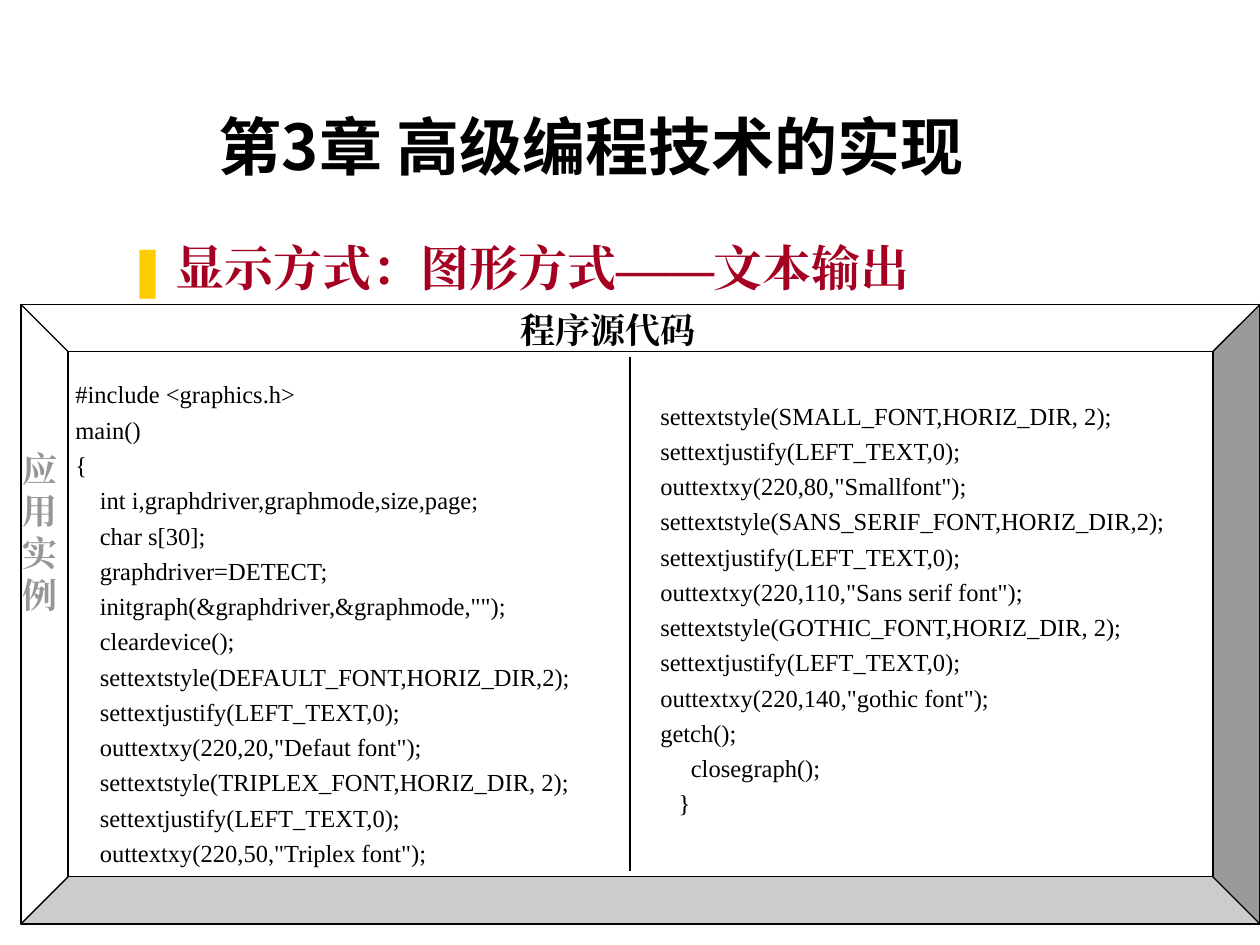
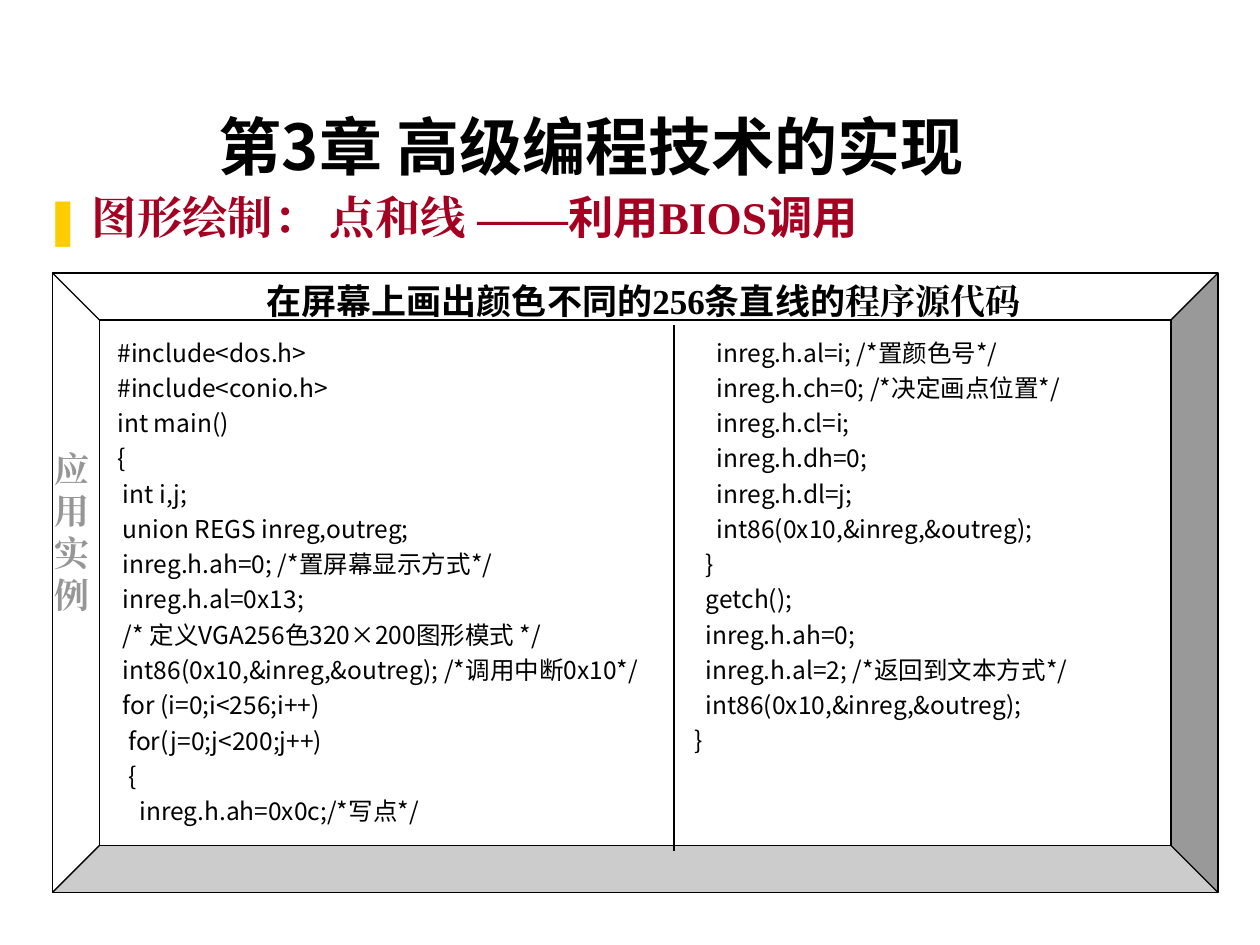
from dataclasses import dataclass
from lxml.etree import SubElement
from pptx import Presentation
from pptx.dml.color import RGBColor
from pptx.enum.lang import MSO_LANGUAGE_ID
from pptx.enum.shapes import MSO_CONNECTOR, MSO_SHAPE
from pptx.enum.text import MSO_ANCHOR, PP_ALIGN
from pptx.oxml.ns import qn
from pptx.util import Inches, Pt


@dataclass(frozen=True)
class Theme:
    sans: str = "Noto Sans CJK SC"
    serif: str = "Times New Roman"
    black: str = "000000"
    white: str = "FFFFFF"
    topic: str = "A50021"
    bullet: str = "FFCC00"
    label: str = "969696"
    title_size: float = 36
    heading_size: float = 20
    code_size: float = 14
    code_spacing: float = 1.2
    line_width: float = 0.75
    bevel: float = 0.076


THEME = Theme()
COLUMNS, ROWS = 120, 90
WIDTH, HEIGHT = Inches(10), Inches(7.5)
TITLE = "第3章 高级编程技术的实现"
TITLE_BOX = (5.3, 3, 102, 15)
LABEL = "应用实例"
LABEL_TOP, LABEL_WIDTH, LABEL_HEIGHT = 42, 5, 17.3

SLIDES = [
    {
        "topic": [("显示方式：图形方式——文本输出", THEME.serif)],
        "topic_box": (11, 22, 81, 8.3),
        "topic_size": 28,
        "topic_spacing": 1.0,
        "frame": (2, 29, 118, 59),
        "heading": [("程序源代码", THEME.serif)],
        "heading_box": (46.4, 28.8, 23, 5.3),
        "divider": (60, 34, 83),
        "code_font": THEME.serif,
        "code": [
            ((6, 35, 54, 48), """\
#include <graphics.h>
main()
{
    int i,graphdriver,graphmode,size,page;
    char s[30];
    graphdriver=DETECT;
    initgraph(&graphdriver,&graphmode,"");
    cleardevice();
    settextstyle(DEFAULT_FONT,HORIZ_DIR,2);
    settextjustify(LEFT_TEXT,0);
    outtextxy(220,20,"Defaut font");
    settextstyle(TRIPLEX_FONT,HORIZ_DIR, 2);
    settextjustify(LEFT_TEXT,0);
    outtextxy(220,50,"Triplex font");"""),
            ((61.7, 37, 58, 41.5), """\
settextstyle(SMALL_FONT,HORIZ_DIR, 2);
settextjustify(LEFT_TEXT,0);
outtextxy(220,80,"Smallfont");
settextstyle(SANS_SERIF_FONT,HORIZ_DIR,2);
settextjustify(LEFT_TEXT,0);
outtextxy(220,110,"Sans serif font");
settextstyle(GOTHIC_FONT,HORIZ_DIR, 2);
settextjustify(LEFT_TEXT,0);
outtextxy(220,140,"gothic font");
getch();
     closegraph();
   }"""),
        ],
    },
    {
        "topic": [("图形绘制： 点和线 ——", THEME.serif), ("利用", THEME.sans),
                  ("BIOS", THEME.serif), ("调用", THEME.sans)],
        "topic_box": (3, 18, 86, 8.3),
        "topic_size": 25.9,
        "topic_spacing": 0.9,
        "frame": (5, 26, 111, 59),
        "heading": [("在屏幕上画出颜色不同的", THEME.sans), ("256", THEME.serif),
                    ("条直线的", THEME.sans), ("程序源代码", THEME.serif)],
        "heading_box": (22.8, 26, 77, 5.3),
        "divider": (64.2, 31, 81),
        "code_font": THEME.sans,
        "code": [
            ((10, 31, 56, 50), """\
#include<dos.h>
#include<conio.h>
int main()
{
 int i,j;
 union REGS inreg,outreg;
 inreg.h.ah=0; /*置屏幕显示方式*/
 inreg.h.al=0x13;
 /* 定义VGA256色320×200图形模式 */
 int86(0x10,&inreg,&outreg); /*调用中断0x10*/
 for (i=0;i<256;i++)
  for(j=0;j<200;j++)
  {
    inreg.h.ah=0x0c;/*写点*/"""),
            ((65, 31, 49, 41.5), """\
    inreg.h.al=i; /*置颜色号*/
    inreg.h.ch=0; /*决定画点位置*/
    inreg.h.cl=i;
    inreg.h.dh=0;
    inreg.h.dl=j;
    int86(0x10,&inreg,&outreg);
  }
  getch();
  inreg.h.ah=0;
  inreg.h.al=2; /*返回到文本方式*/
  int86(0x10,&inreg,&outreg);
}"""),
        ],
    },
]


def across(columns):
    return round(WIDTH * columns / COLUMNS)


def down(rows):
    return round(HEIGHT * rows / ROWS)


def place(box):
    left, top, width, height = box
    return across(left), down(top), across(width), down(height)


def add_text(slide, box, paragraphs, size, color=THEME.black, bold=True,
             align=PP_ALIGN.LEFT, anchor=MSO_ANCHOR.TOP, spacing=1.0):
    frame = slide.shapes.add_textbox(*place(box)).text_frame
    frame.word_wrap = True
    frame.vertical_anchor = anchor
    for index, runs in enumerate(paragraphs):
        paragraph = frame.add_paragraph() if index else frame.paragraphs[0]
        paragraph.alignment = align
        paragraph.line_spacing = spacing
        for text, typeface in runs:
            run = paragraph.add_run()
            run.text = text
            font = run.font
            font.size, font.bold, font.name = Pt(size), bold, typeface
            font.color.rgb = RGBColor.from_string(color)
            font.language_id = MSO_LANGUAGE_ID.SIMPLIFIED_CHINESE
            SubElement(font._element, qn("a:ea"), typeface=typeface)
    return frame


def add_bullet(paragraph):
    properties = paragraph._p.get_or_add_pPr()
    properties.set("marL", str(Inches(0.38)))
    properties.set("indent", str(-Inches(0.38)))
    color = SubElement(properties, qn("a:buClr"))
    SubElement(color, qn("a:srgbClr"), val=THEME.bullet)
    SubElement(properties, qn("a:buFont"), typeface=THEME.sans)
    SubElement(properties, qn("a:buChar"), char="❚")


def outline(shape):
    shape.line.color.rgb = RGBColor.from_string(THEME.black)
    shape.line.width = Pt(THEME.line_width)


def add_frame(slide, box):
    frame = slide.shapes.add_shape(MSO_SHAPE.BEVEL, *place(box))
    frame.adjustments[0] = THEME.bevel
    frame.shadow.inherit = False
    frame.fill.solid()
    frame.fill.fore_color.rgb = RGBColor.from_string(THEME.white)
    outline(frame)


def add_divider(slide, column, top, bottom):
    divider = slide.shapes.add_connector(
        MSO_CONNECTOR.STRAIGHT, across(column), down(top), across(column), down(bottom))
    outline(divider)
    SubElement(divider._element.spPr, qn("a:effectLst"))


def build_slide(presentation, content):
    slide = presentation.slides.add_slide(presentation.slide_layouts[6])
    add_text(slide, TITLE_BOX, [[(TITLE, THEME.sans)]], THEME.title_size,
             align=PP_ALIGN.CENTER, anchor=MSO_ANCHOR.BOTTOM)
    add_frame(slide, content["frame"])
    label_box = (content["frame"][0] - 1, LABEL_TOP, LABEL_WIDTH, LABEL_HEIGHT)
    add_text(slide, label_box, [[(LABEL, THEME.serif)]], THEME.heading_size, THEME.label)
    add_text(slide, content["heading_box"], [content["heading"]], THEME.heading_size,
             align=PP_ALIGN.CENTER)
    for box, code in content["code"]:
        lines = [[(line, content["code_font"])] for line in code.splitlines()]
        add_text(slide, box, lines, THEME.code_size, bold=False, spacing=THEME.code_spacing)
    add_divider(slide, *content["divider"])
    topic = add_text(slide, content["topic_box"], [content["topic"]], content["topic_size"],
                     THEME.topic, spacing=content["topic_spacing"])
    add_bullet(topic.paragraphs[0])


def main():
    presentation = Presentation()
    presentation.slide_width, presentation.slide_height = WIDTH, HEIGHT
    for content in SLIDES:
        build_slide(presentation, content)
    presentation.save("out.pptx")


if __name__ == "__main__":
    main()
